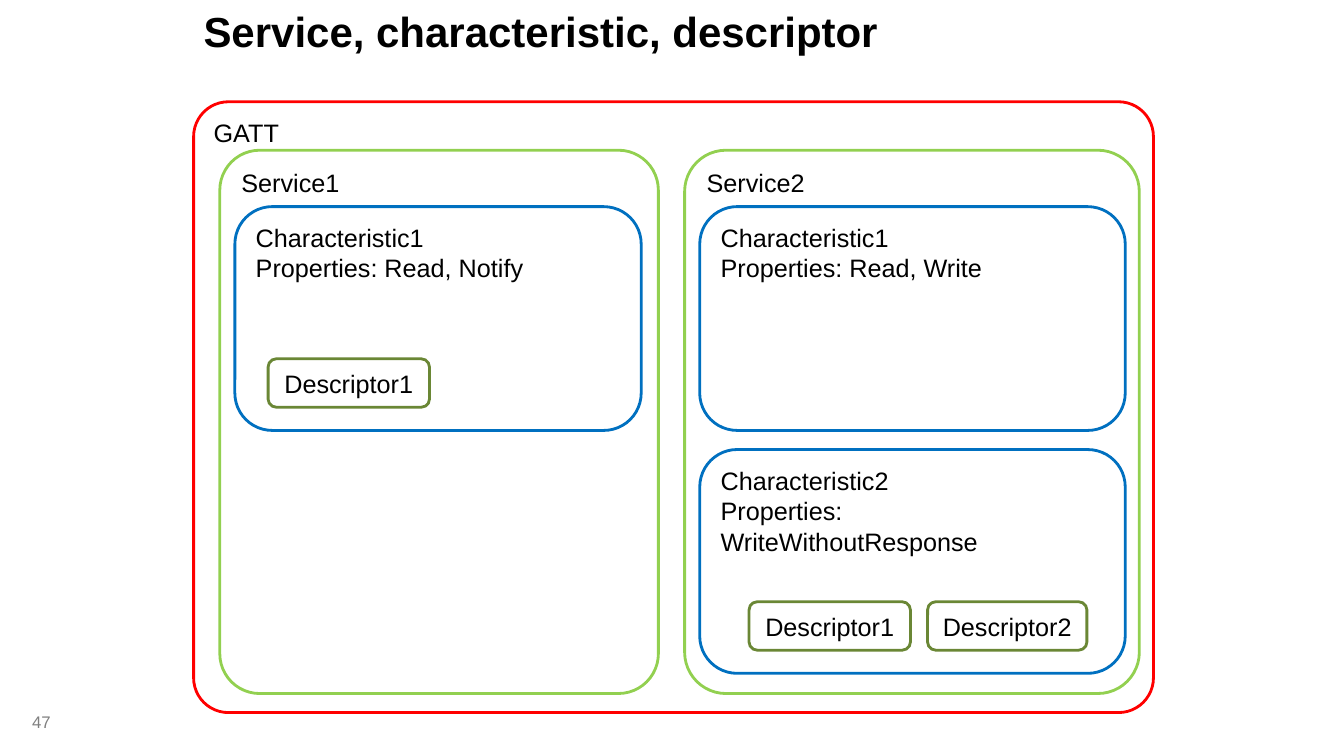
from pptx import Presentation
from pptx.dml.color import RGBColor
from pptx.enum.shapes import MSO_SHAPE
from pptx.enum.text import MSO_ANCHOR, PP_ALIGN
from pptx.util import Inches, Pt

COLORS = {
    "black": "000000", "gray": "808080", "white": "FFFFFF", "red": "FF0000",
    "lime": "92D050", "blue": "0070C0", "olive": "6A8735",
}


class Deck:
    """Holds the style and the current slide, and draws its elements."""

    font = "Arial"
    size = 18

    def __init__(self):
        self.prs = Presentation()
        self.prs.slide_width = Inches(13.33)
        self.prs.slide_height = Inches(7.5)
        self.slide = self.prs.slides.add_slide(self.prs.slide_layouts[6])

    def color(self, name):
        return RGBColor.from_string(COLORS[name])

    def style(self, frame, lines, size, color="black", bold=False, align=PP_ALIGN.LEFT):
        frame.text = "\n".join(lines)
        for para in frame.paragraphs:
            para.alignment = align
            para.font.name = self.font
            para.font.size = Pt(size)
            para.font.bold = bold
            para.font.color.rgb = self.color(color)

    def label(self, area, text, size, color="black", bold=False, wrap=True):
        frame = self.slide.shapes.add_textbox(*map(Inches, area)).text_frame
        frame.word_wrap = wrap
        self.style(frame, [text], size, color, bold)
        return frame

    def frame(self, area, lines, line, fill=None, round=0.167, center=False):
        box = self.slide.shapes.add_shape(MSO_SHAPE.ROUNDED_RECTANGLE, *map(Inches, area))
        box.adjustments[0] = round
        box.shadow.inherit = False
        if fill:
            box.fill.solid()
            box.fill.fore_color.rgb = self.color(fill)
        else:
            box.fill.background()
        box.line.color.rgb = self.color(line)
        box.line.width = Pt(2)
        text = box.text_frame
        text.word_wrap = True
        text.vertical_anchor = MSO_ANCHOR.MIDDLE if center else MSO_ANCHOR.TOP
        self.style(text, lines, self.size, align=PP_ALIGN.CENTER if center else PP_ALIGN.LEFT)

    def service(self, left, width, name):
        self.frame((left, 1.49, width, 5.39), [name], "lime", round=0.091)

    def trait(self, left, top, width, number, props):
        lines = [f"Characteristic{number}", f"Properties: {props}"]
        self.frame((left, top, width, 2.22), lines, "blue", "white")

    def detail(self, left, top, width, number):
        area = (left, top, width, 0.48)
        self.frame(area, [f"Descriptor{number}"], "olive", "white", center=True)


def main():
    deck = Deck()
    deck.label((0.22, 7.01, 0.41, 0.3), "47", 12, "gray", wrap=False)
    title = deck.label((1.92, 0.05, 9.52, 0.56), "Service, characteristic, descriptor", 30, bold=True)
    title.paragraphs[0].line_spacing = 0.92

    deck.frame((1.92, 1.01, 9.52, 6.06), ["GATT"], "red", round=0.057)
    deck.service(2.18, 4.35, "Service1")
    deck.service(6.79, 4.51, "Service2")

    deck.trait(2.33, 2.05, 4.03, 1, "Read, Notify")
    deck.trait(6.94, 2.05, 4.22, 1, "Read, Write")
    deck.trait(6.94, 4.46, 4.22, 2, "WriteWithoutResponse")

    deck.detail(2.66, 3.56, 1.6, 1)
    deck.detail(7.43, 5.97, 1.6, 1)
    deck.detail(9.2, 5.97, 1.58, 2)
    deck.prs.save("out.pptx")


if __name__ == "__main__":
    main()
